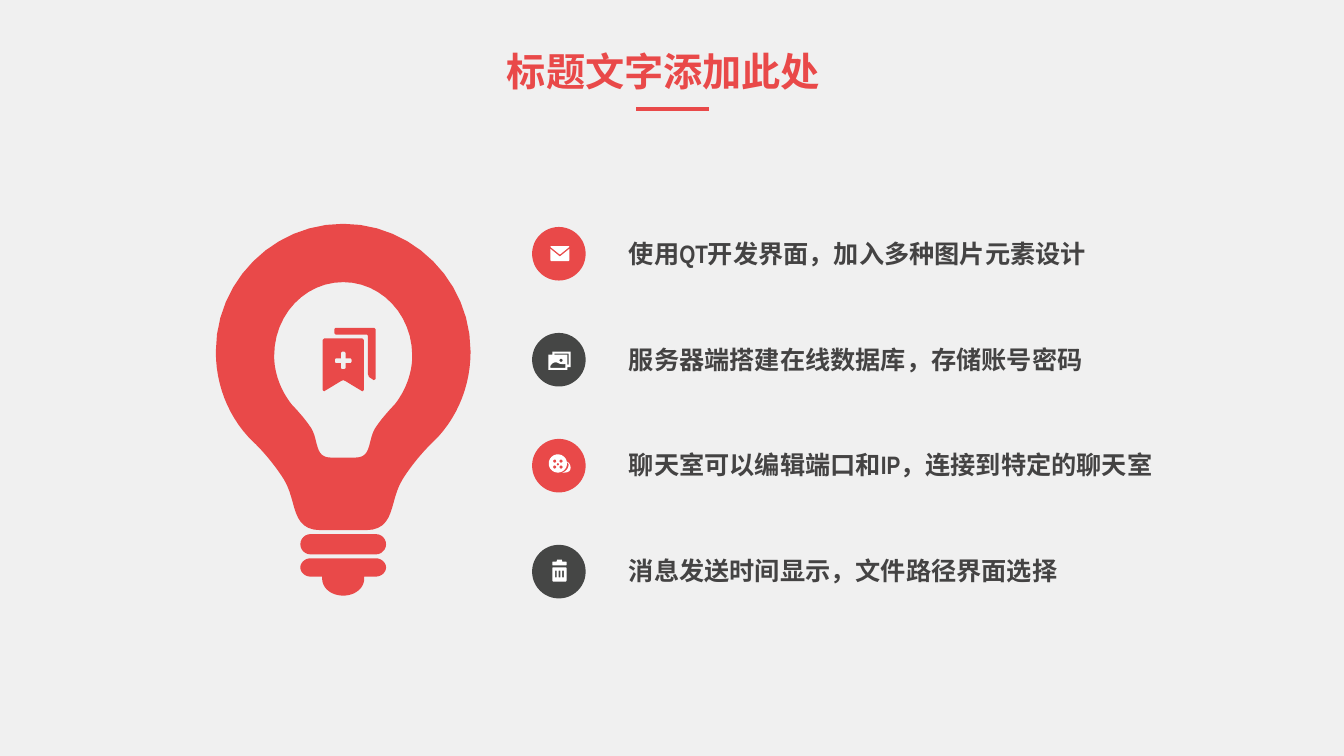
"""Build a slide with a light bulb and four feature lines."""
from math import cos, pi, sin

from pptx import Presentation
from pptx.dml.color import RGBColor
from pptx.enum.shapes import MSO_CONNECTOR, MSO_SHAPE
from pptx.enum.text import MSO_ANCHOR, MSO_AUTO_SIZE, PP_ALIGN
from pptx.oxml.ns import qn
from pptx.util import Cm, Pt

RED = RGBColor(0xE9, 0x49, 0x49)
DARK = RGBColor(0x45, 0x46, 0x45)
TEXT = RGBColor(0x44, 0x43, 0x43)
WHITE = RGBColor(0xFF, 0xFF, 0xFF)
PAPER = RGBColor(0xF0, 0xF0, 0xF0)

AXIS = 8.65
FIRST_ROW, ROW_PITCH, DISC = 5.72, 2.67, 1.35
ROWS = [
    ("使用QT开发界面\uff0c加入多种图片元素设计", 14.3, RED),
    ("服务器端搭建在线数据库\uff0c存储账号密码", 12.22, DARK),
    ("聊天室可以编辑端口和IP\uff0c连接到特定的聊天室", 14.66, RED),
    ("消息发送时间显示\uff0c文件路径界面选择", 13.97, DARK),
]


def trace(*steps, samples=12):
    points = [steps[0]]
    for step in steps[1:]:
        if len(step) == 2:
            points.append(step)
            continue
        x0, y0 = points[-1]
        x1, y1, x2, y2, x3, y3 = step
        for i in range(1, samples + 1):
            t = i / samples
            a, b, c, d = (1 - t) ** 3, 3 * t * (1 - t) ** 2, 3 * t * t * (1 - t), t ** 3
            points.append((a * x0 + b * x1 + c * x2 + d * x3,
                           a * y0 + b * y1 + c * y2 + d * y3))
    return points


def mirror(axis, *steps):
    half = trace(*steps)
    return [(axis + x, y) for x, y in half] + [(axis - x, y) for x, y in reversed(half)]


def circle(x, y, radius, samples=32):
    angles = [2 * pi * i / samples for i in range(samples)]
    return [(x + radius * cos(a), y + radius * sin(a)) for a in angles]


def box(left, top, right, bottom):
    return [(left, top), (right, top), (right, bottom), (left, bottom)]


class Deck:
    font = "Arial Narrow"

    def __init__(self):
        self.prs = Presentation()
        self.prs.slide_width, self.prs.slide_height = Cm(33.87), Cm(19.05)
        self.slide = self.prs.slides.add_slide(self.prs.slide_layouts[5])
        self.slide.background.fill.solid()
        self.slide.background.fill.fore_color.rgb = PAPER

    def set_text(self, shape, text, size, color, align):
        frame = shape.text_frame
        frame.text = text
        frame.word_wrap = True
        frame.auto_size = MSO_AUTO_SIZE.NONE
        frame.vertical_anchor = MSO_ANCHOR.TOP
        paragraph = frame.paragraphs[0]
        paragraph.alignment = align
        font = paragraph.runs[0].font
        font.name, font.size, font.bold = self.font, Pt(size), True
        font.color.rgb = color

    def title(self, text, left, top, width, height):
        shape = self.slide.shapes.title
        shape.left, shape.top, shape.width, shape.height = map(Cm, (left, top, width, height))
        self.set_text(shape, text, 28, RED, PP_ALIGN.CENTER)

    def text(self, text, left, top, width, height):
        shape = self.slide.shapes.add_textbox(*map(Cm, (left, top, width, height)))
        self.set_text(shape, text, 18, TEXT, PP_ALIGN.LEFT)

    def paint(self, shape, color):
        shape.shadow.inherit = False
        shape.fill.solid()
        shape.fill.fore_color.rgb = color
        shape.line.fill.background()
        return shape

    def shape(self, kind, color, left, top, width, height):
        placed = self.slide.shapes.add_shape(kind, *map(Cm, (left, top, width, height)))
        return self.paint(placed, color)

    def outline(self, color, *contours):
        paths = [[(Cm(x), Cm(y)) for x, y in contour] for contour in contours]
        builder = self.slide.shapes.build_freeform(*paths[0][0])
        for number, path in enumerate(paths):
            if number:
                builder.move_to(*path[0])
            builder.add_line_segments(path[1:], close=True)
        return self.paint(builder.convert_to_shape(), color)

    def line(self, x1, y1, x2, y2, color, width):
        rule = self.slide.shapes.add_connector(
            MSO_CONNECTOR.STRAIGHT, *map(Cm, (x1, y1, x2, y2)))
        rule.line.color.rgb, rule.line.width = color, Pt(width)
        properties = rule._element.spPr
        properties.append(properties.makeelement(qn("a:effectLst"), {}))


deck = Deck()
deck.title("标题文字添加此处", 11.02, 1.07, 11.4, 1.45)
deck.line(16.03, 2.74, 17.86, 2.74, RED, 3)

for row, (label, width, color) in enumerate(ROWS):
    top = FIRST_ROW + row * ROW_PITCH
    deck.shape(MSO_SHAPE.OVAL, color, 13.41, top, DISC, DISC)
    deck.text(label, 15.6, top + 0.15, width, 1.02)

bulb = mirror(AXIS, (0, 5.64), (1.77, 5.64, 3.21, 7.09, 3.21, 8.86),
              (3.21, 9.68, 2.91, 10.44, 2.4, 11), (2.25, 11.15),
              (2.04, 11.35, 1.71, 11.73, 1.49, 12.09),
              (1.16, 12.62, 1.33, 13.36, 0.57, 13.36))
glass = mirror(AXIS, (0, 7.11), (0.95, 7.11, 1.74, 7.92, 1.74, 8.97),
               (1.74, 9.42, 1.56, 9.86, 1.3, 10.19),
               (1.1, 10.4, 0.93, 10.6, 0.8, 10.8),
               (0.62, 11.1, 0.72, 11.53, 0.32, 11.53))
deck.outline(RED, bulb, glass)

ring = deck.shape(MSO_SHAPE.ROUNDED_RECTANGLE, RED, 7.57, 13.46, 2.16, 0.51)
ring.adjustments[0] = 0.5
deck.outline(RED, mirror(AXIS, (0, 14.07), (0.83, 14.07),
                         (0.95, 14.07, 1.08, 14.17, 1.08, 14.3),
                         (1.08, 14.43, 0.95, 14.53, 0.83, 14.53),
                         (0.53, 14.53), (0.53, 14.58),
                         (0.53, 14.83, 0.29, 15.01, 0, 15.01)))

bookmark = mirror(AXIS, (0, 8.53), (0.48, 8.53), (0.52, 8.57), (0.52, 9.83),
                  (0.48, 9.86), (0.05, 9.6), (0, 9.58))
plus = mirror(AXIS, (0, 8.86), (0.03, 8.86), (0.06, 8.89), (0.06, 9.03), (0.19, 9.03),
              (0.21, 9.06), (0.21, 9.12), (0.19, 9.15), (0.06, 9.15), (0.06, 9.28), (0.03, 9.3))
deck.outline(RED, bookmark, plus)
deck.outline(RED, [(8.46, 8.26), (9.43, 8.26), (9.47, 8.3), (9.47, 9.55), (9.42, 9.58),
                   (9.3, 9.5), (9.27, 9.42), (9.27, 8.46), (9.25, 8.43), (8.46, 8.43),
                   (8.43, 8.4), (8.43, 8.29)])

BIN = 14.1
slots = [box(BIN + shift - 0.02, 14.38, BIN + shift + 0.02, 14.55) for shift in (-0.09, 0, 0.09)]
deck.outline(WHITE, mirror(BIN, (0, 14.3), (0.17, 14.3), (0.18, 14.32), (0.18, 14.63),
                           (0.16, 14.66)), *slots)
deck.outline(WHITE, mirror(BIN, (0, 14.1), (0.06, 14.1), (0.07, 14.15), (0.17, 14.15),
                           (0.18, 14.17), (0.18, 14.23), (0.17, 14.25)))

crumbs = [circle(x, y, 0.04) for x in (13.98, 14.14) for y in (11.62, 11.77)]
deck.outline(WHITE, circle(14.06, 11.68, 0.23), circle(14.06, 11.7, 0.03), *crumbs)
deck.outline(WHITE, trace((14.28, 11.63), (14.35, 11.66, 14.38, 11.72, 14.38, 11.79),
                          (14.38, 11.86, 14.33, 11.91, 14.22, 11.91), (14.17, 11.91),
                          (14.25, 11.89, 14.33, 11.81, 14.33, 11.71),
                          (14.33, 11.68, 14.3, 11.66, 14.28, 11.63)))

frames = [(13.92, 8.86), (14.38, 8.86), (14.38, 9.25), (14.3, 9.25), (14.3, 9.32),
          (13.82, 9.32), (13.82, 8.94), (13.92, 8.94)]
gap = [(13.97, 8.91), (14.33, 8.91), (14.33, 9.19), (14.3, 9.19), (14.3, 8.94), (13.97, 8.94)]
hills = trace((13.87, 9.27), (13.87, 9.22), (13.95, 9.1, 14.03, 9.13, 14.07, 9.15),
              (14.12, 9.18, 14.2, 9.18, 14.25, 9.17), (14.25, 9.27))
deck.outline(WHITE, frames, gap, hills, circle(14.14, 9.08, 0.04))

MAIL = 14.11
deck.outline(WHITE, mirror(MAIL, (0, 6.2), (0.22, 6.2), (0.24, 6.22), (0.02, 6.4), (0, 6.41)))
deck.outline(WHITE, mirror(MAIL, (0, 6.46), (0.02, 6.45), (0.24, 6.27), (0.24, 6.56),
                           (0.22, 6.58)))

deck.prs.save("out.pptx")
